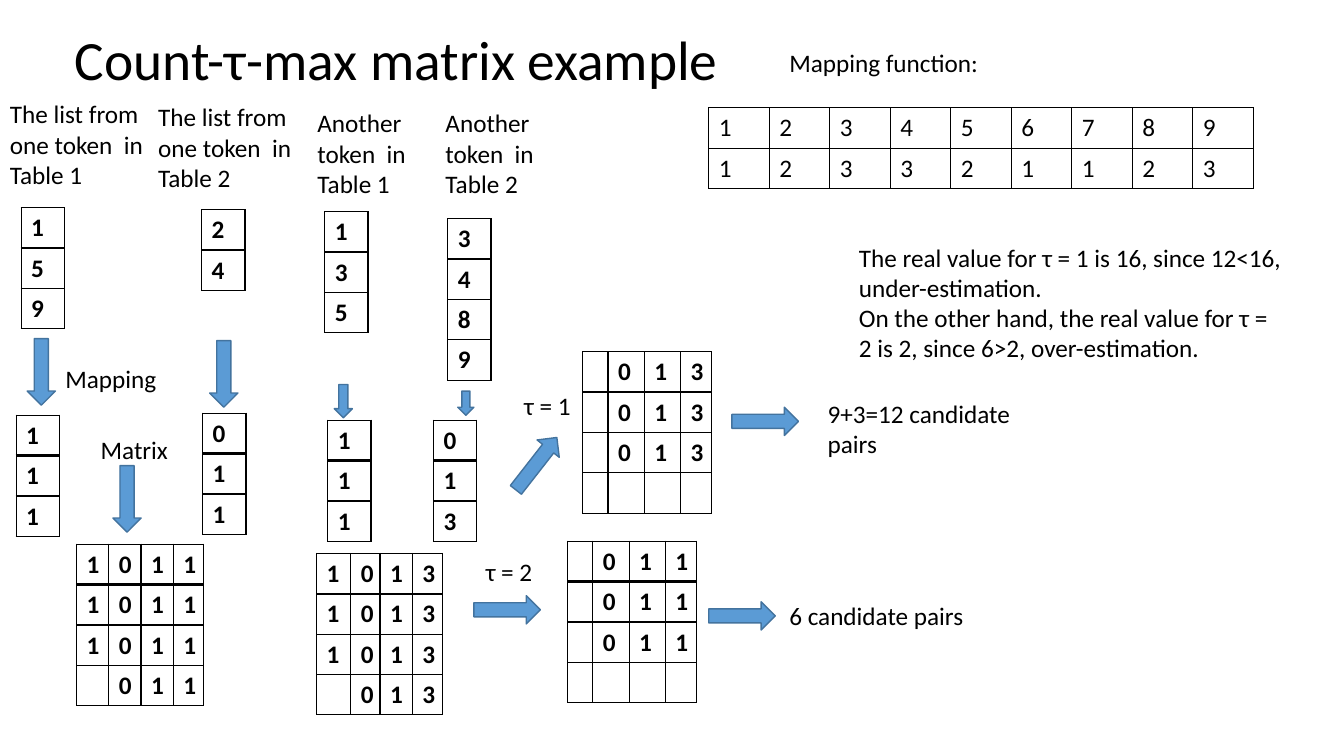
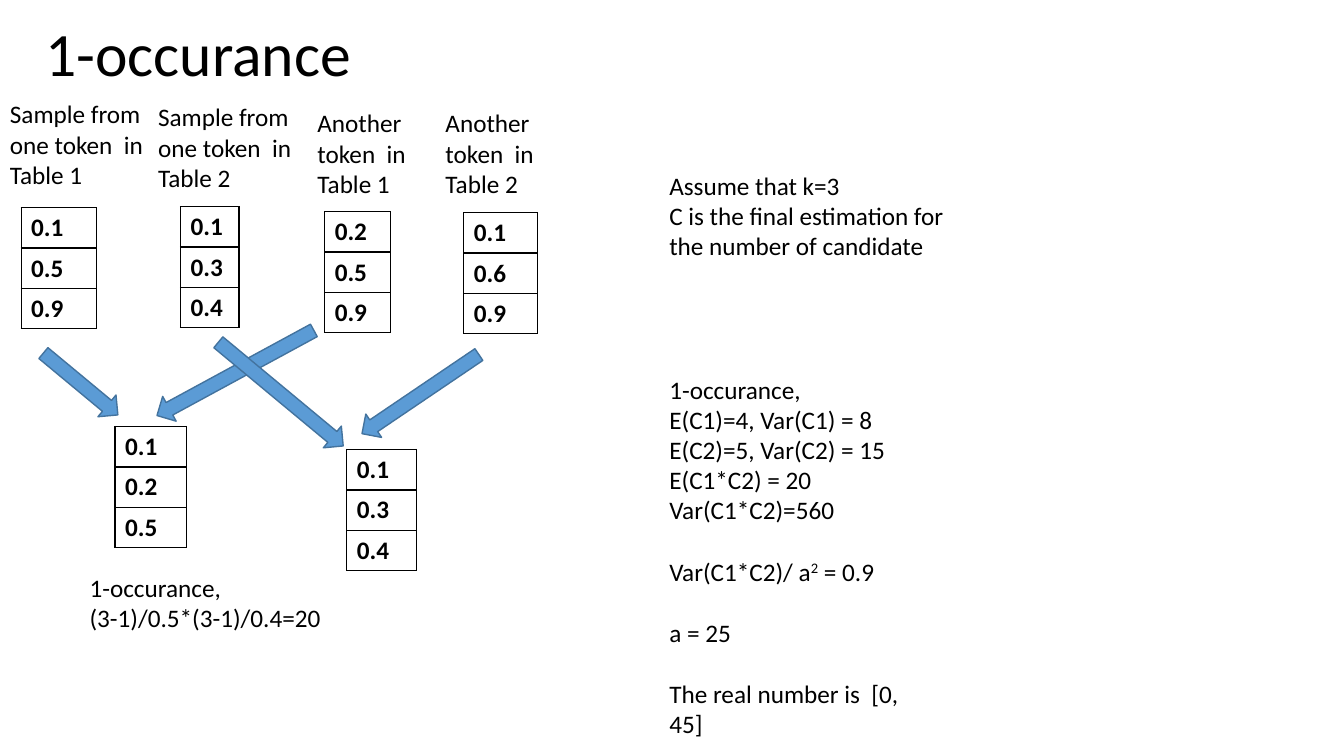
from lxml.etree import SubElement
from pptx import Presentation
from pptx.dml.color import RGBColor
from pptx.enum.shapes import MSO_SHAPE as Shape
from pptx.enum.text import MSO_ANCHOR as Anchor, MSO_AUTO_SIZE as AutoSize, PP_ALIGN as Align
from pptx.oxml.ns import qn
from pptx.util import Inches, Pt

rgb = RGBColor.from_string
BLACK, BLUE, DARK_BLUE = "000000", "5B9BD5", "43739E"
ROW_HEIGHT = 0.4
BODY = {"name": "Calibri", "size": Pt(18), "bold": False}
STRONG = {**BODY, "bold": True}


def style(span, format_values):
    for name, value in format_values.items():
        setattr(span.font, name, value)
    span.font.color.rgb = rgb(BLACK)


def add_border(cell, side, points):
    line = SubElement(cell._tc.get_or_add_tcPr(), qn(f"a:{side}"), w=str(Pt(points)))
    fill = SubElement(line, qn("a:solidFill"))
    SubElement(fill, qn("a:srgbClr"), val=BLACK)


headings = [
    (0, 0.93, "{} from one token  in Table 1"),
    (1.47, 0.96, "{} from one token  in Table 2"),
    (3.05, 1.02, "Another token  in Table 1"),
    (4.32, 1.02, "Another token  in Table 2"),
]
single, matrix, result = [0.43], [0.32, 0.32, 0.32, 0.3], [0.25, 0.36, 0.36, 0.31]

matrix_example = {
    "title": ("Count-τ-max matrix example", 0.64, 0.12, 39.6),
    "subject": "The list",
    "texts": [
        (4.72, 5.47, 0.8, ["τ = 2"]),
        (0.55, 3.56, 1.3, ["Mapping"]),
        (0.9, 4.26, 1.3, ["Matrix"]),
        (7.73, 5.91, 2.52, ["6 candidate pairs"]),
        (7.73, 0.42, 2.57, ["Mapping function:"]),
        (5.1, 3.82, 0.8, ["τ = 1"]),
        (8.11, 3.9, 2.52, ["9+3=12 candidate pairs"]),
        (8.42, 2.35, 4.41, [
            "The real value for τ = 1 is 16, since 12<16, under-estimation.",
            "On the other hand, the real value for τ = 2 is 2, since 6>2, over-estimation.",
        ]),
    ],
    "tables": [
        (0.21, 2.06, single, "1/5/9"),
        (2, 2.08, single, "2/4"),
        (3.22, 2.1, single, "1/3/5"),
        (4.44, 2.17, single, "3/4/8/9"),
        (0.16, 4.12, single, "1/1/1"),
        (2.01, 4.1, single, "0/1/1"),
        (3.25, 4.17, single, "1/1/1"),
        (4.3, 4.17, single, "0/1/3"),
        (0.76, 5.4, matrix, "1,0,1,1/1,0,1,1/1,0,1,1/,0,1,1"),
        (3.14, 5.49, [0.34, 0.29, 0.32, 0.3], "1,0,1,3/1,0,1,3/1,0,1,3/,0,1,3"),
        (5.63, 5.37, result, ",0,1,1/,0,1,1/,0,1,1/,,,"),
        (5.78, 3.49, result, ",0,1,3/,0,1,3/,0,1,3/,,,"),
        (7.03, 1.07, [0.6] * 9, "1,2,3,4,5,6,7,8,9/1,2,3,3,2,1,1,2,3"),
    ],
    "arrows": [
        (0.08, 3.55, 0.66, 0.28, 90),
        (1.89, 3.57, 0.66, 0.28, 90),
        (0.93, 4.81, 0.66, 0.28, 90),
        (3.24, 3.89, 0.33, 0.18, 90),
        (4.5, 3.92, 0.24, 0.16, 90),
        (4.7, 5.91, 0.66, 0.28, 0),
        (7.03, 5.97, 0.66, 0.28, 0),
        (4.99, 4.46, 0.66, 0.28, 308),
        (7.26, 4.04, 0.66, 0.28, 0),
    ],
}

occurrence_example = {
    "title": ("1-occurance", 0.35, 0.06, 44),
    "subject": "Sample",
    "texts": [
        (6.54, 1.64, 2.97, [
            "Assume that k=3",
            "C is the final estimation for the number of candidate",
        ]),
        (0.79, 5.63, 2.52, ["1-occurance,", "(3-1)/0.5*(3-1)/0.4=20"]),
        (6.54, 3.66, 2.85, [
            "1-occurance,",
            "E(C1)=4, Var(C1) = 8 E(C2)=5, Var(C2) = 15",
            "E(C1*C2) = 20",
            "Var(C1*C2)=560",
            "Var(C1*C2)/ a^2^ = 0.9",
            "a = 25",
            "The real number is  [0, 45]",
        ]),
    ],
    "tables": [
        (0.21, 2.06, [0.75], "0.1/0.5/0.9"),
        (1.79, 2.05, [0.58], "0.1/0.3/0.4"),
        (3.22, 2.1, [0.65], "0.2/0.5/0.9"),
        (4.6, 2.11, [0.73], "0.1/0.6/0.9"),
        (1.14, 4.23, [0.71], "0.1/0.2/0.5"),
        (3.44, 4.46, [0.69], "0.1/0.3/0.4"),
    ],
    "arrows": [
        (0.32, 3.67, 0.96, 0.28, 39.7),
        (1.45, 3.56, 1.77, 0.28, 151.5),
        (1.98, 3.77, 1.61, 0.28, 39.7),
        (3.47, 3.77, 1.4, 0.28, 145.9),
    ],
}

deck = Presentation()
deck.slide_width, deck.slide_height = Inches(13.33), Inches(7.5)

for content in (matrix_example, occurrence_example):
    page = deck.slides.add_slide(deck.slide_layouts[5])
    wording, left, top, size = content["title"]
    title = page.shapes.title
    title.left, title.top, title.width, title.height = map(Inches, (left, top, 7.04, 1))
    title.text_frame.text = wording
    title.text_frame.vertical_anchor = Anchor.MIDDLE
    para = title.text_frame.paragraphs[0]
    para.alignment, para.line_spacing = Align.LEFT, 0.9
    style(para.runs[0], {**BODY, "size": Pt(size)})

    labels = [(left, top, 1.63, [heading.format(content["subject"])]) for left, top, heading in headings]
    for left, top, width, lines in labels + content["texts"]:
        box = page.shapes.add_textbox(*map(Inches, (left, top, width, ROW_HEIGHT)))
        frame = box.text_frame
        frame.word_wrap, frame.auto_size = True, AutoSize.SHAPE_TO_FIT_TEXT
        for index, line in enumerate(lines):
            para = frame.paragraphs[0] if index == 0 else frame.add_paragraph()
            if index > 3:
                para.space_before = Pt(22)
            for position, part in enumerate(line.split("^")):
                span = para.add_run()
                span.text = part
                style(span, BODY)
                if position == 1:
                    span.font._element.set("baseline", "30000")

    for left, top, widths, values in content["tables"]:
        rows = [row.split(",") for row in values.split("/")]
        size = (sum(widths), ROW_HEIGHT * len(rows))
        table = page.shapes.add_table(len(rows), len(widths), *map(Inches, (left, top, *size))).table
        table.first_row = table.horz_banding = False
        is_mapping = len(widths) == 9
        for column, width in zip(table.columns, widths):
            column.width = Inches(width)
        for row_index, row in enumerate(rows):
            table.rows[row_index].height = Inches(ROW_HEIGHT)
            for column_index, value in enumerate(row):
                cell = table.cell(row_index, column_index)
                top_line = 2 if row_index == 1 and not is_mapping else 1
                bottom_line = 2 if row_index == 0 and not is_mapping else 1
                for side, points in (("lnL", 1), ("lnR", 1), ("lnT", top_line), ("lnB", bottom_line)):
                    add_border(cell, side, points)
                cell.fill.background()
                if value:
                    cell.text = value
                    style(cell.text_frame.paragraphs[0].runs[0], BODY if is_mapping else STRONG)

    for left, top, width, height, angle in content["arrows"]:
        arrow = page.shapes.add_shape(Shape.RIGHT_ARROW, *map(Inches, (left, top, width, height)))
        arrow.rotation = angle
        arrow.shadow.inherit = False
        arrow.fill.solid()
        arrow.fill.fore_color.rgb = rgb(BLUE)
        arrow.line.color.rgb = rgb(DARK_BLUE)
        arrow.line.width = Pt(1)

deck.save("out.pptx")
